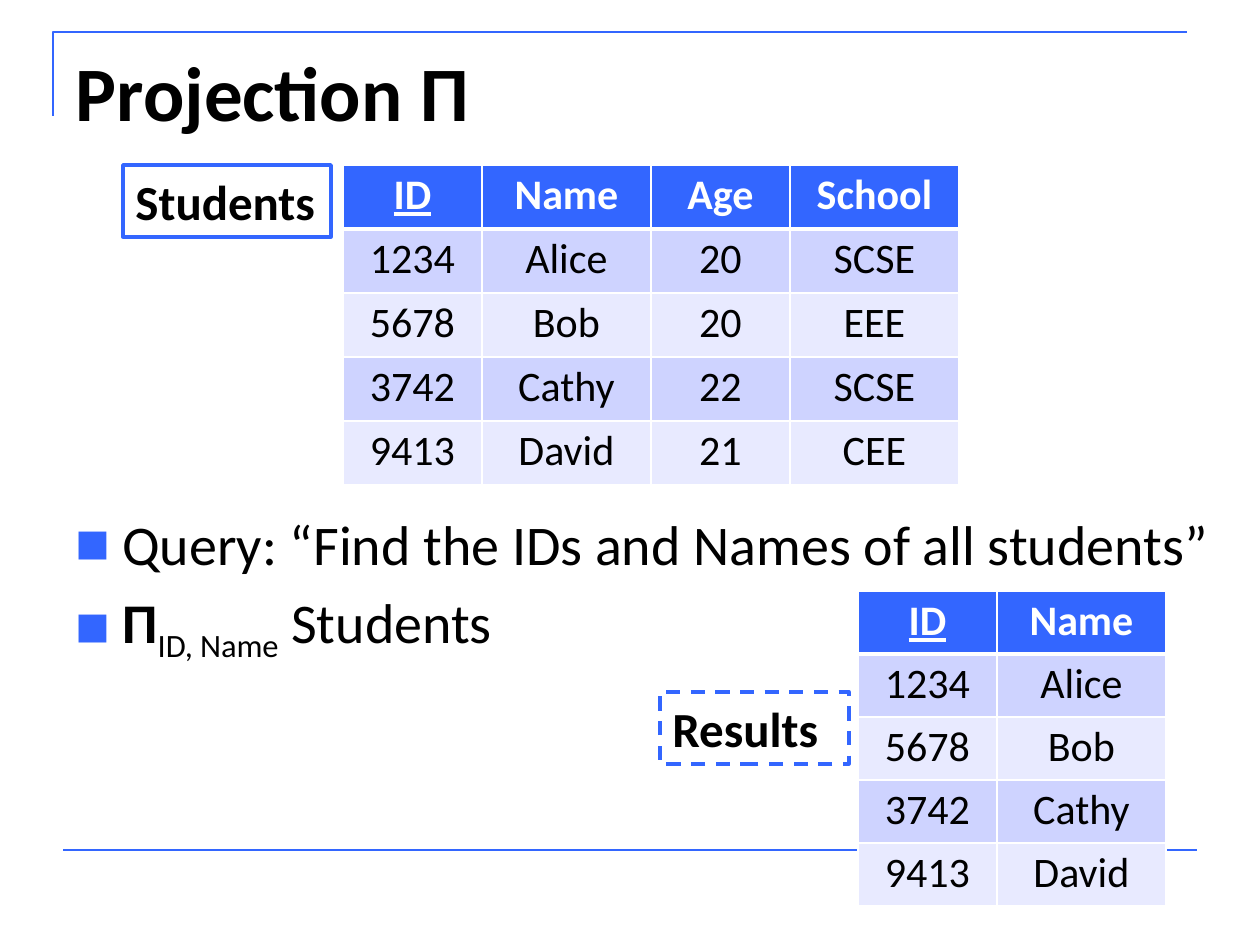
"""Build a slide on relational projection with a source table and its result."""
import dataclasses

import lxml.etree
import pptx
import pptx.dml.color
import pptx.enum.dml
import pptx.enum.shapes
import pptx.enum.text
import pptx.oxml.ns
import pptx.util


@dataclasses.dataclass(frozen=True)
class Theme:
    font: str = "Calibri"
    accent: str = "3366FF"
    ink: str = "000000"
    paper: str = "FFFFFF"
    bands: tuple = ("E8EAFF", "CED3FF")
    title: int = 44
    body: int = 32
    label: int = 28
    cell: int = 24


theme = Theme()
qn = pptx.oxml.ns.qn
rgb = pptx.dml.color.RGBColor.from_string
PX = 914400 / 126


def px(*lengths):
    return [pptx.util.Emu(round(length * PX)) for length in lengths]


def style(paragraph, size, color=theme.ink, bold=False):
    paragraph.font.name = theme.font
    paragraph.font.size = pptx.util.Pt(size)
    paragraph.font.color.rgb = rgb(color)
    paragraph.font.bold = bold


deck = pptx.Presentation()
deck.slide_width, deck.slide_height = px(1260, 945)
slide = deck.slides.add_slide(deck.slide_layouts[5])
shapes = slide.shapes

title = shapes.title
title.left, title.top, title.width, title.height = px(63, 38, 1134, 157)
title.text_frame.text = "Projection Π"
title.text_frame.auto_size = pptx.enum.text.MSO_AUTO_SIZE.NONE
title.text_frame.vertical_anchor = pptx.enum.text.MSO_ANCHOR.TOP
heading = title.text_frame.paragraphs[0]
heading.alignment = pptx.enum.text.PP_ALIGN.LEFT
style(heading, theme.title, bold=True)

outline = shapes.build_freeform(53, 116, scale=PX)
outline.add_line_segments([(53, 32), (1187, 32)], close=False)
corner = outline.convert_to_shape()
corner.shadow.inherit = False
corner.fill.background()
footer = shapes.add_connector(
    pptx.enum.shapes.MSO_CONNECTOR.STRAIGHT, *px(63, 850, 1197, 850))
lxml.etree.SubElement(footer._element.spPr, qn("a:effectLst"))
for rule in (corner, footer):
    rule.line.color.rgb = rgb(theme.accent)
    rule.line.width = pptx.util.Pt(1.5)

query = shapes.add_textbox(*px(63, 503, 1172, 343)).text_frame
query.word_wrap = True
bullets = [
    [("Query: “Find the IDs and Names of all students”", False, 0)],
    [("Π", True, 0), ("ID, Name", False, -25000), (" Students", False, 0)],
]
for index, parts in enumerate(bullets):
    bullet = query.add_paragraph() if index else query.paragraphs[0]
    if index:
        bullet.space_before = pptx.util.Pt(6.4)
    indent = px(47)[0]
    properties = bullet._p.get_or_add_pPr()
    properties.set("marL", str(indent))
    properties.set("indent", str(-indent))
    marker_color = lxml.etree.SubElement(properties, qn("a:buClr"))
    lxml.etree.SubElement(marker_color, qn("a:srgbClr"), val=theme.accent)
    lxml.etree.SubElement(properties, qn("a:buSzPct"), val="65000")
    lxml.etree.SubElement(properties, qn("a:buFont"), typeface=theme.font)
    lxml.etree.SubElement(properties, qn("a:buChar"), char="■")
    style(bullet, theme.body)
    for text, bold, baseline in parts:
        run = bullet.add_run()
        run.text = text
        run.font.bold = bold
        if baseline:
            run.font._element.set("baseline", str(baseline))

students = [
    ("ID", "Name", "Age", "School"),
    ("1234", "Alice", "20", "SCSE"),
    ("5678", "Bob", "20", "EEE"),
    ("3742", "Cathy", "22", "SCSE"),
    ("9413", "David", "21", "CEE"),
]
results = [record[:2] for record in students]
column_widths = (139, 169, 139, 169)

for records, left, top, row_height in ((students, 343, 165, 64), (results, 858, 591, 63)):
    widths = column_widths[:len(records[0])]
    relation = shapes.add_table(
        len(records), len(widths),
        *px(left, top, sum(widths), row_height * len(records))).table
    for column, width in zip(relation.columns, px(*widths)):
        column.width = width
    for row, record in enumerate(records):
        for column, value in enumerate(record):
            cell = relation.cell(row, column)
            cell.margin_top, cell.margin_bottom = px(5, 5)
            borders = cell._tc.get_or_add_tcPr()
            for side in "LRTB":
                heavy = (row, side) in ((0, "B"), (1, "T"))
                border = lxml.etree.SubElement(
                    borders, qn(f"a:ln{side}"), w=str(pptx.util.Pt(3 if heavy else 1)))
                paint = lxml.etree.SubElement(border, qn("a:solidFill"))
                lxml.etree.SubElement(paint, qn("a:srgbClr"), val=theme.paper)
            cell.fill.solid()
            cell.fill.fore_color.rgb = rgb(theme.bands[row % 2] if row else theme.accent)
            cell.text = value
            entry = cell.text_frame.paragraphs[0]
            entry.alignment = pptx.enum.text.PP_ALIGN.CENTER
            style(entry, theme.cell, theme.ink if row else theme.paper, bold=row == 0)
            if value == "ID":
                entry.font.underline = True

for name, left, top, width, dash in (
        ("Students", 123, 165, 208, pptx.enum.dml.MSO_LINE.SOLID),
        ("Results", 660, 692, 189, pptx.enum.dml.MSO_LINE.DASH)):
    label = shapes.add_shape(
        pptx.enum.shapes.MSO_SHAPE.RECTANGLE, *px(left, top, width, 72))
    label.shadow.inherit = False
    label.fill.background()
    label.line.color.rgb = rgb(theme.accent)
    label.line.width = pptx.util.Pt(2)
    label.line.dash_style = dash
    label.text_frame.text = name
    label.text_frame.word_wrap = True
    label.text_frame.vertical_anchor = pptx.enum.text.MSO_ANCHOR.TOP
    caption = label.text_frame.paragraphs[0]
    caption.alignment = pptx.enum.text.PP_ALIGN.LEFT
    style(caption, theme.label, bold=True)

deck.save("out.pptx")
